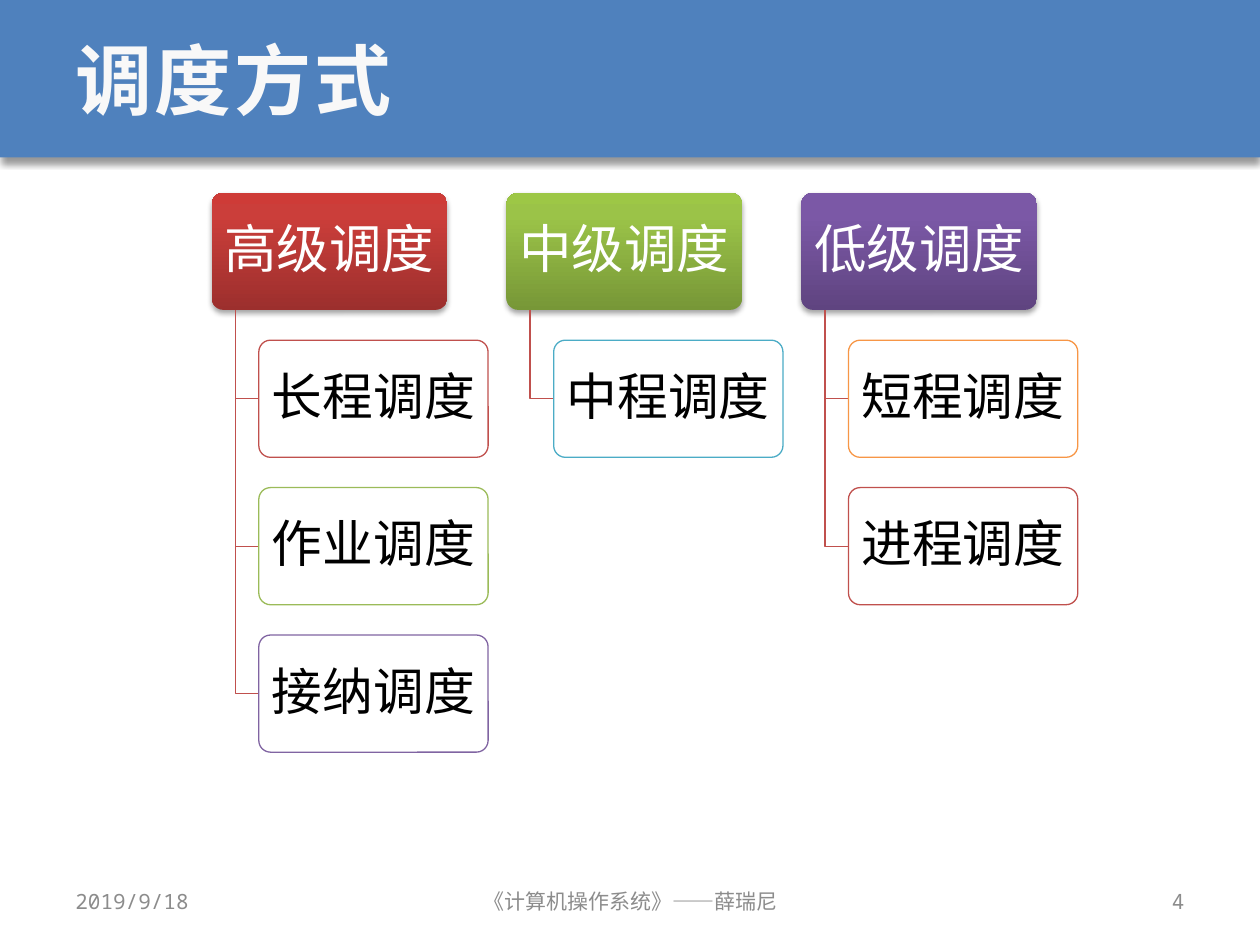
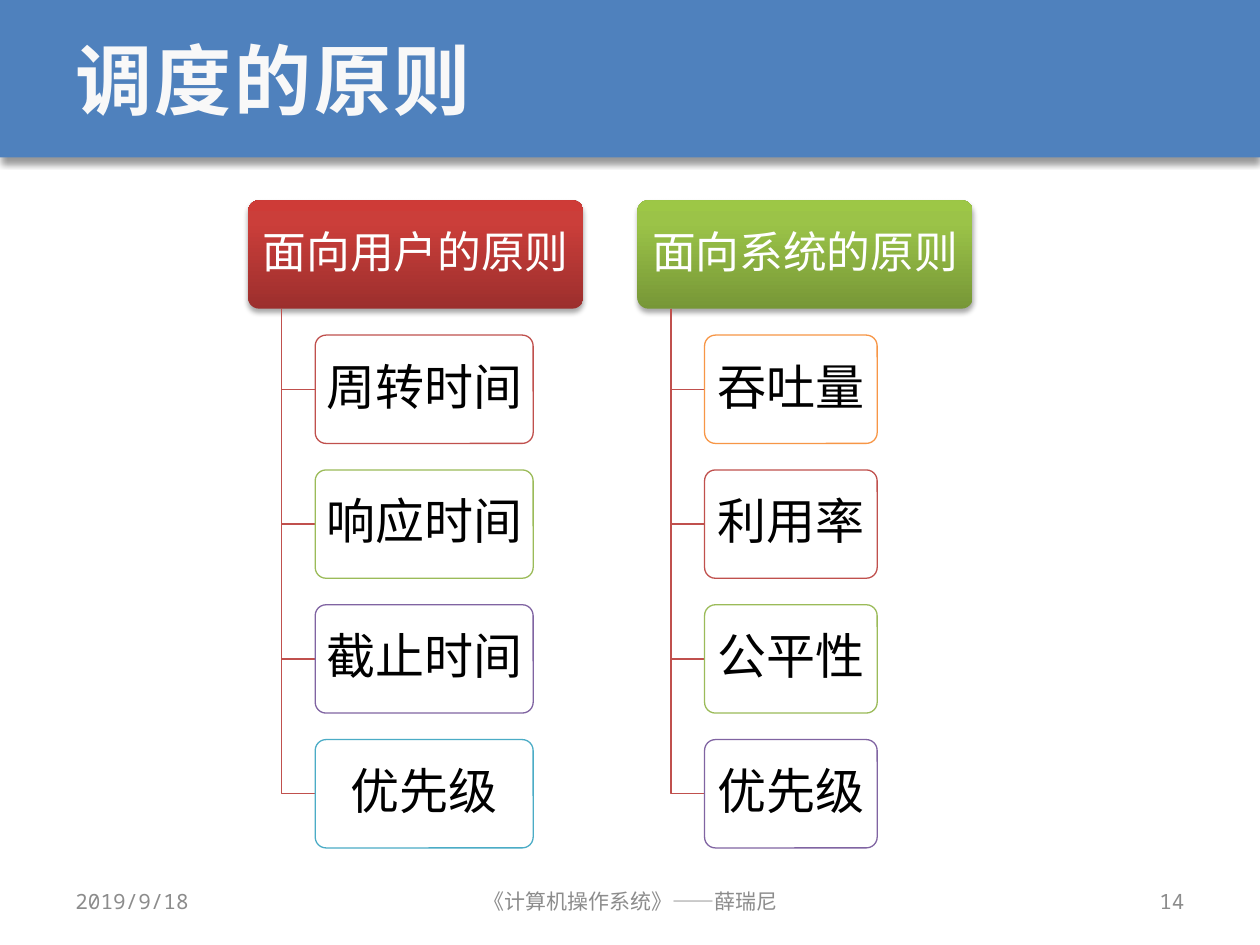
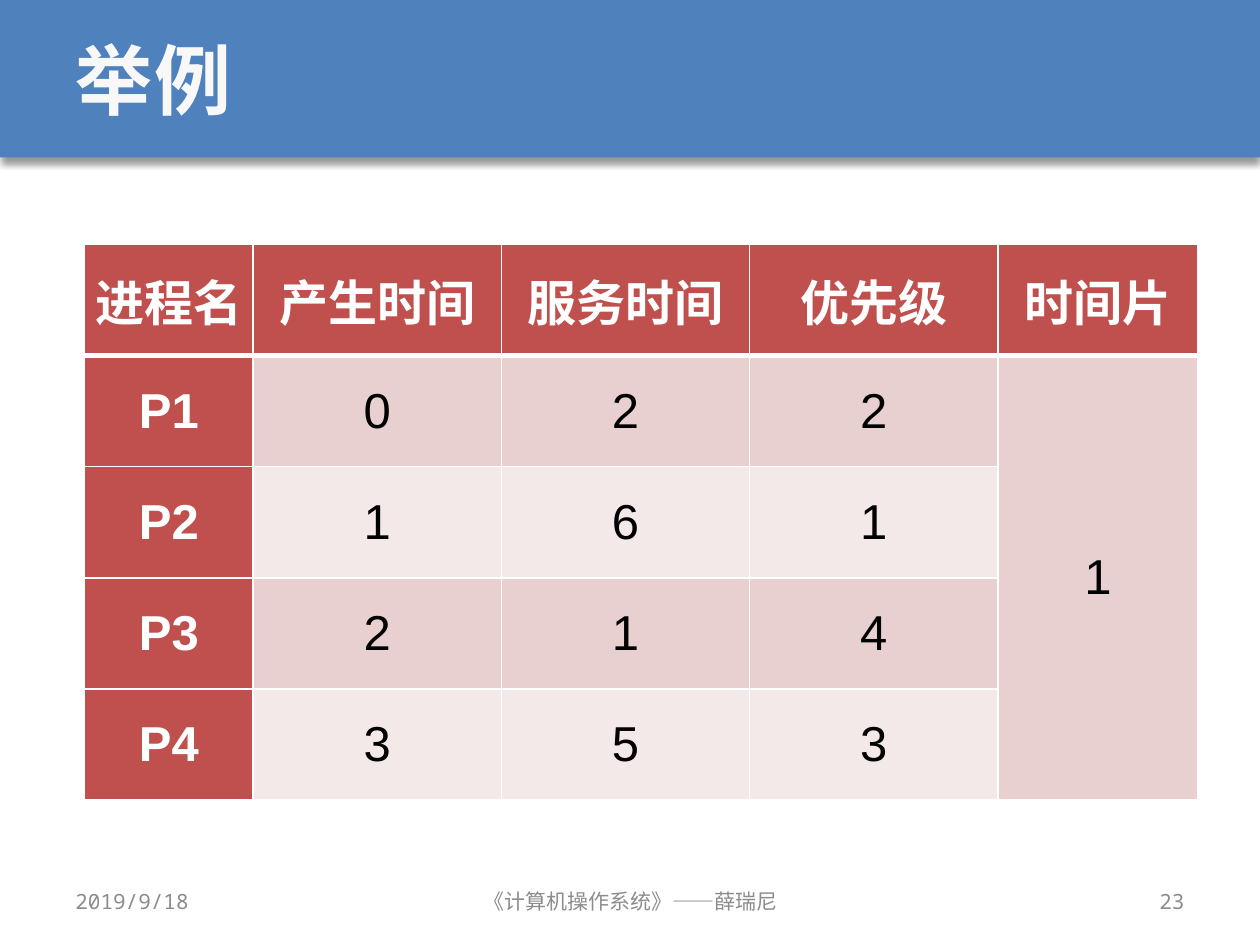
import copy
import itertools

import lxml.etree
import pptx
import pptx.dml.color
import pptx.enum.shapes
import pptx.enum.text
import pptx.oxml.ns
import pptx.util

Inches = pptx.util.Inches
Pt = pptx.util.Pt
qn = pptx.oxml.ns.qn
SHAPE = pptx.enum.shapes.MSO_SHAPE
ALIGN = pptx.enum.text.PP_ALIGN
MIDDLE = pptx.enum.text.MSO_ANCHOR.MIDDLE

# Shared colours and fonts
BLUE, RED, GREEN, PURPLE = "4F81BD", "C0504D", "9BBB59", "8064A2"
TEAL, ORANGE, WHITE, BLACK = "4BACC6", "F79646", "FFFFFF", "000000"
TITLE_COLOR, FOOTER_COLOR = "F8F8F8", "8C8C8C"
BAND_DARK, BAND_LIGHT = "E8D0D0", "F4E9E9"
LEAF_COLORS = [RED, GREEN, PURPLE, TEAL, ORANGE]
ROOT_GRADIENTS = [
    ("9C2F2D", "CB3E3A", "CE3B37"),
    ("779737", "9BC348", "9DC746"),
    ("5F4480", "7B58A6", "7C57A8"),
]
GRADIENT_POSITIONS = (0, 0.8, 1)
HEAD_FONT, BODY_FONT = "Noto Sans Mono", "Arial"

DATE, COURSE = "2019/9/18", "《计算机操作系统》——薛瑞尼"


def rgb(value):
    return pptx.dml.color.RGBColor.from_string(value)


def sub(parent, tag, **attributes):
    return lxml.etree.SubElement(
        parent, qn(tag), {key: str(value) for key, value in attributes.items()})


def write(frame, text, size, color, font=BODY_FONT, bold=False, align=ALIGN.LEFT,
          spacing=None, line_spacing=None, after_percent=None, inset=None):
    frame.word_wrap = True
    frame.vertical_anchor = MIDDLE
    if inset is not None:
        frame.margin_left = frame.margin_right = Inches(inset)
        frame.margin_top = frame.margin_bottom = Inches(0.04)
    paragraph = frame.paragraphs[0]
    paragraph.alignment = align
    if line_spacing:
        paragraph.line_spacing = line_spacing
    if after_percent:
        after = sub(paragraph._p.get_or_add_pPr(), "a:spcAft")
        sub(after, "a:spcPct", val=after_percent * 1000)
    run = paragraph.add_run()
    run.text = text
    run.font.name, run.font.size, run.font.bold = font, Pt(size), bold
    run.font.color.rgb = rgb(color)
    if spacing:
        run._r.get_or_add_rPr().set("spc", str(int(spacing * 100)))


def add_text(slide, box, text, **style):
    holder = slide.shapes.add_textbox(*map(Inches, box))
    write(holder.text_frame, text, **style)


def add_shadow(shape, opacity, blur, distance):
    shape.shadow.inherit = False
    effects = shape._element.spPr.find(qn("a:effectLst"))
    shadow = sub(effects, "a:outerShdw", blurRad=Pt(blur), dist=Pt(distance),
                 dir=5400000, rotWithShape=0)
    sub(sub(shadow, "a:srgbClr", val=BLACK), "a:alpha", val=opacity * 1000)


# Title band and footer
def add_frame(presentation, title, number):
    slide = presentation.slides.add_slide(presentation.slide_layouts[6])
    band = slide.shapes.add_shape(SHAPE.RECTANGLE, 0, 0, Inches(10), Inches(1.25))
    band.fill.solid()
    band.fill.fore_color.rgb = rgb(BLUE)
    band.line.fill.background()
    add_shadow(band, 40, 4, 3)
    add_text(slide, (0.5, 0, 9, 1.25), title, size=44, color=TITLE_COLOR,
             font=HEAD_FONT, bold=True, spacing=1.5)
    for left, width, text, align in [(0.5, 2.33, DATE, ALIGN.LEFT),
                                     (3.42, 3.17, COURSE, ALIGN.CENTER),
                                     (7.17, 2.33, str(number), ALIGN.RIGHT)]:
        add_text(slide, (left, 6.95, width, 0.4), text, size=12,
                 color=FOOTER_COLOR, font=HEAD_FONT, align=align)
    return slide


# Hierarchy of root boxes with leaves hanging below
def add_node(slide, box, text, size, color):
    node = slide.shapes.add_shape(SHAPE.ROUNDED_RECTANGLE, *map(Inches, box))
    node.adjustments[0] = 0.1
    node.shadow.inherit = False
    write(node.text_frame, text, size, color, align=ALIGN.CENTER,
          line_spacing=0.9, after_percent=35, inset=0.05)
    return node


def add_root(slide, box, text, size, gradient):
    root = add_node(slide, box, text, size, WHITE)
    root.fill.gradient()
    root.fill.gradient_angle = 90
    stops = root._element.spPr.find(qn("a:gradFill")).find(qn("a:gsLst"))
    stops.append(copy.deepcopy(stops[-1]))
    for stop, position, color in zip(root.fill.gradient_stops,
                                     GRADIENT_POSITIONS, gradient):
        stop.position = position
        stop.color.rgb = rgb(color)
    root.line.fill.background()
    add_shadow(root, 35, 3.1, 1.8)


def add_leaf(slide, box, text, size, outline):
    leaf = add_node(slide, box, text, size, BLACK)
    leaf.fill.solid()
    leaf.fill.fore_color.rgb = rgb(WHITE)
    white = leaf._element.spPr.find(qn("a:solidFill"))[0]
    sub(white, "a:alpha", val=90000)
    leaf.line.color.rgb = rgb(outline)
    leaf.line.width = Pt(0.75)


def add_branch(slide, left, top, right, bottom):
    builder = slide.shapes.build_freeform(Inches(left), Inches(top))
    builder.add_line_segments([(Inches(left), Inches(bottom)),
                               (Inches(right), Inches(bottom))], close=False)
    branch = builder.convert_to_shape()
    branch.fill.background()
    branch.line.color.rgb = rgb(RED)
    branch.line.width = Pt(0.75)
    branch.shadow.inherit = False


def add_hierarchy(slide, box, column_step, row_step, root_size, leaf_size, trees):
    """box is the first root; each tree is (root, leaf width, leaves)."""
    first_left, top, width, height = box
    outlines = itertools.cycle(LEAF_COLORS)
    for column, (root, leaf_width, leaves) in enumerate(trees):
        left = first_left + column * column_step
        add_root(slide, (left, top, width, height), root, root_size,
                 ROOT_GRADIENTS[column])
        trunk, leaf_left = left + 0.1 * width, left + 0.2 * width
        for row, leaf in enumerate(leaves, 1):
            leaf_top = top + row * row_step
            add_branch(slide, trunk, top + height, leaf_left, leaf_top + height / 2)
            add_leaf(slide, (leaf_left, leaf_top, leaf_width, height), leaf,
                     leaf_size, next(outlines))


# Process table
def set_borders(cell, **widths):
    properties = cell._tc.get_or_add_tcPr()
    for side in "LRTB":
        line = sub(properties, f"a:ln{side}", w=Pt(widths.get(side, 1)))
        sub(sub(line, "a:solidFill"), "a:srgbClr", val=WHITE)


def add_process_table(slide, box, column_widths, rows):
    table = slide.shapes.add_table(len(rows), len(column_widths),
                                   *map(Inches, box)).table
    for column, width in zip(table.columns, column_widths):
        column.width = Inches(width)
    last = len(column_widths) - 1
    for r, row in enumerate(rows):
        for c, text in enumerate(row):
            cell = table.cell(r, c)
            heading = r == 0 or c == 0
            set_borders(cell, **({"B": 3} if r == 0 else {"T": 3} if r == 1 else {}))
            cell.fill.solid()
            band = BAND_DARK if r % 2 or c == last else BAND_LIGHT
            cell.fill.fore_color.rgb = rgb(RED if heading else band)
            cell.vertical_anchor = MIDDLE
            cell.margin_left = cell.margin_right = Inches(0.07)
            cell.margin_top = cell.margin_bottom = 0
            if text:
                write(cell.text_frame, text, 28, WHITE if heading else BLACK,
                      bold=heading, align=ALIGN.CENTER)
    # The time slice applies to every process
    table.cell(1, last).merge(table.cell(len(rows) - 1, last))


def main():
    presentation = pptx.Presentation()
    presentation.slide_width, presentation.slide_height = Inches(10), Inches(7.5)

    methods = add_frame(presentation, "调度方式", 4)
    add_hierarchy(methods, (1.68, 1.53, 1.87, 0.93), 2.34, 1.17, 30, 29, [
        ("高级调度", 1.82, ["长程调度", "作业调度", "接纳调度"]),
        ("中级调度", 1.82, ["中程调度"]),
        ("低级调度", 1.82, ["短程调度", "进程调度"]),
    ])

    principles = add_frame(presentation, "调度的原则", 14)
    add_hierarchy(principles, (1.97, 1.59, 2.66, 0.86), 3.09, 1.07, 25, 28, [
        ("面向用户的原则", 1.73, ["周转时间", "响应时间", "截止时间", "优先级"]),
        ("面向系统的原则", 1.37, ["吞吐量", "利用率", "公平性", "优先级"]),
    ])

    example = add_frame(presentation, "举例", 23)
    add_process_table(example, (0.67, 1.94, 8.83, 4.41),
                      [1.34, 1.97, 1.97, 1.97, 1.59], [
        ("进程名", "产生时间", "服务时间", "优先级", "时间片"),
        ("P1", "0", "2", "2", "1"),
        ("P2", "1", "6", "1", ""),
        ("P3", "2", "1", "4", ""),
        ("P4", "3", "5", "3", ""),
    ])

    presentation.save("out.pptx")


if __name__ == "__main__":
    main()
